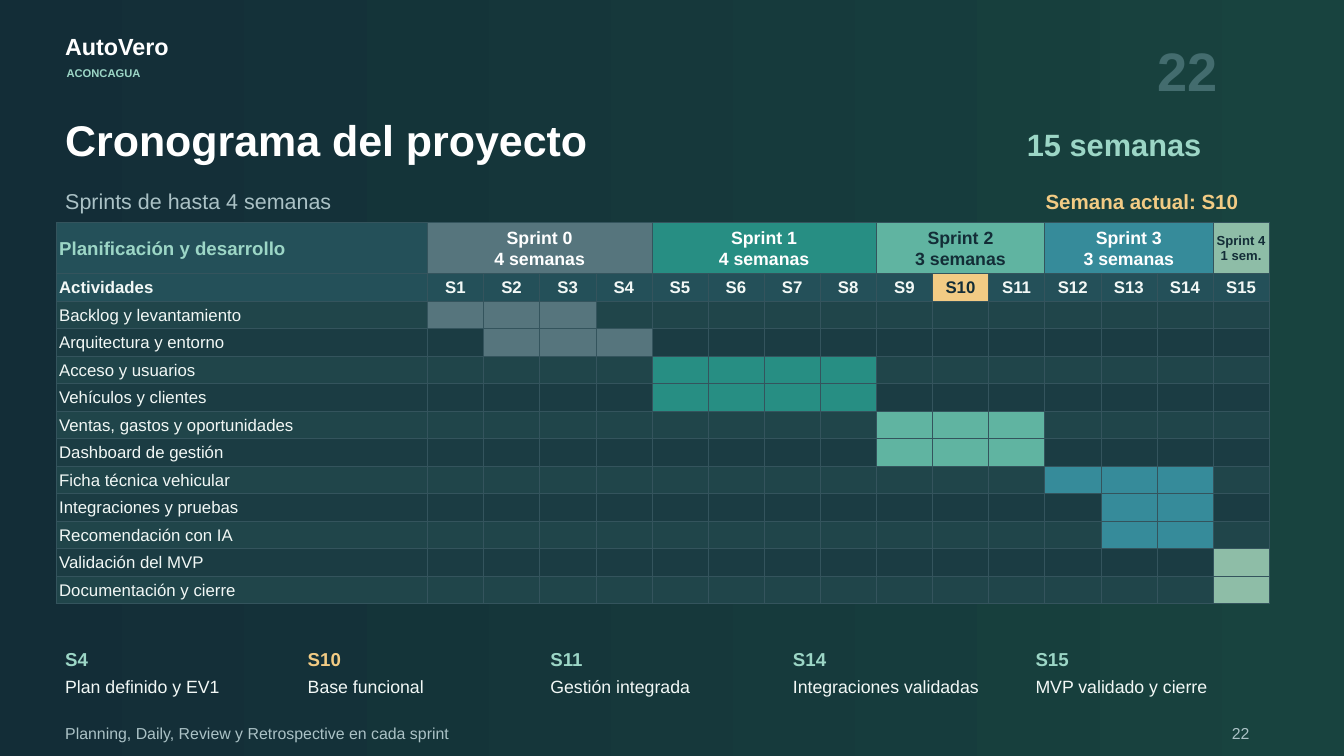
from lxml import etree
from pptx import Presentation
from pptx.dml.color import RGBColor
from pptx.enum.text import MSO_ANCHOR, MSO_AUTO_SIZE, PP_ALIGN
from pptx.oxml.ns import qn
from pptx.util import Inches, Pt

LEFT, CENTER = PP_ALIGN.LEFT, PP_ALIGN.CENTER
MIDDLE = MSO_ANCHOR.MIDDLE
FIT_SHAPE = MSO_AUTO_SIZE.SHAPE_TO_FIT_TEXT

NAVY = RGBColor(0x13, 0x2D, 0x37)
FOREST = RGBColor(0x18, 0x43, 0x3F)
WHITE = RGBColor(0xFF, 0xFF, 0xFF)
PALE = RGBColor(0xF2, 0xF8, 0xF6)
MINT = RGBColor(0x9C, 0xD6, 0xC6)
MUTED = RGBColor(0xAB, 0xC2, 0xC6)
FADED = RGBColor(0x43, 0x6C, 0x6E)
AMBER = RGBColor(0xF2, 0xCB, 0x84)
HEADER = RGBColor(0x24, 0x50, 0x59)
ROW_LIGHT = RGBColor(0x20, 0x45, 0x4A)
ROW_DARK = RGBColor(0x1B, 0x3C, 0x43)
GRID = RGBColor(0x34, 0x54, 0x5D)
SLATE = RGBColor(0x56, 0x75, 0x7D)
TEAL = RGBColor(0x27, 0x8E, 0x83)
AQUA = RGBColor(0x60, 0xB4, 0xA1)
BLUE = RGBColor(0x36, 0x8B, 0x9A)
SAGE = RGBColor(0x8E, 0xBD, 0xA7)

prs = Presentation()
prs.slide_width, prs.slide_height = Inches(20), Inches(11.25)
slide = prs.slides.add_slide(prs.slide_layouts[6])

background = slide.background.fill
background.gradient()
background.gradient_angle = 0
for stop, color in zip(background.gradient_stops, (NAVY, FOREST)):
    stop.color.rgb = color


def write(text, *, size, color, bold=False, align=LEFT, at=None, cell=None):
    """Write lines of text into a table cell, or into a new text box placed at (x, y, w, h)."""
    if cell is not None:
        frame = cell.text_frame
        cell.vertical_anchor = MIDDLE
        margin = Inches(0.05)
    else:
        frame = slide.shapes.add_textbox(*map(Inches, at)).text_frame
        frame.word_wrap = True
        frame.auto_size = FIT_SHAPE
        margin = 0
    frame.margin_left = frame.margin_right = margin
    frame.margin_top = frame.margin_bottom = margin
    if cell is not None:
        cell.margin_left = cell.margin_right = margin
        cell.margin_top = cell.margin_bottom = margin
    frame.text = text
    for paragraph in frame.paragraphs:
        paragraph.alignment = align
        paragraph.line_spacing = Pt(size * 1.2)
        font = paragraph.runs[0].font
        font.name, font.size, font.bold = "Arial", Pt(size), bold
        font.color.rgb = color


def paint(cell, color):
    """Give a cell its grid borders and its fill."""
    properties = cell._tc.get_or_add_tcPr()
    for side in ("a:lnL", "a:lnR", "a:lnT", "a:lnB"):
        line = etree.SubElement(properties, qn(side), w=str(Pt(0.41)))
        solid = etree.SubElement(line, qn("a:solidFill"))
        etree.SubElement(solid, qn("a:srgbClr"), val=str(GRID))
    cell.fill.solid()
    cell.fill.fore_color.rgb = color


# Heading
write("AutoVero", at=(0.97, 0.48, 3.33, 0.48), size=25, color=WHITE, bold=True)
write("ACONCAGUA", at=(0.99, 0.98, 3.47, 0.33), size=12, color=MINT, bold=True)
write("22", at=(17.22, 0.55, 0.9, 0.99), size=58, color=FADED, bold=True)
write("Cronograma del proyecto", at=(0.97, 1.69, 15.28, 0.93), size=46, color=WHITE, bold=True)
write("15 semanas", at=(15.28, 1.87, 3.75, 0.75), size=33, color=MINT, bold=True)
write("Sprints de hasta 4 semanas", at=(0.97, 2.8, 13.19, 0.44), size=23, color=MUTED)
write("Semana actual: S10", at=(15.56, 2.81, 3.47, 0.44), size=22, color=AMBER, bold=True)

# Schedule
WEEKS, CURRENT_WEEK = 15, 10
sprints = [  # label, first week, last week, fill, text colour, text size
    ("Sprint 0\n4 semanas", 1, 4, SLATE, WHITE, 19),
    ("Sprint 1\n4 semanas", 5, 8, TEAL, WHITE, 19),
    ("Sprint 2\n3 semanas", 9, 11, AQUA, NAVY, 19),
    ("Sprint 3\n3 semanas", 12, 14, BLUE, WHITE, 19),
    ("Sprint 4\n1 sem.", 15, 15, SAGE, NAVY, 14),
]
activities = [  # name, first week, last week, fill
    ("Backlog y levantamiento", 1, 3, SLATE),
    ("Arquitectura y entorno", 2, 4, SLATE),
    ("Acceso y usuarios", 5, 8, TEAL),
    ("Vehículos y clientes", 5, 8, TEAL),
    ("Ventas, gastos y oportunidades", 9, 11, AQUA),
    ("Dashboard de gestión", 9, 11, AQUA),
    ("Ficha técnica vehicular", 12, 14, BLUE),
    ("Integraciones y pruebas", 13, 14, BLUE),
    ("Recomendación con IA", 13, 14, BLUE),
    ("Validación del MVP", 15, 15, SAGE),
    ("Documentación y cierre", 15, 15, SAGE),
]
schedule = slide.shapes.add_table(
    len(activities) + 2, WEEKS + 1, Inches(0.83), Inches(3.31), Inches(18.06), Inches(5.67)
).table
schedule.first_row = schedule.horz_banding = False
for index, column in enumerate(schedule.columns):
    column.width = Inches(12.53 / WEEKS if index else 5.53)
for index, row in enumerate(schedule.rows):
    row.height = Inches(4.91 / 12 if index else 0.76)

title_cell = schedule.cell(0, 0)
paint(title_cell, HEADER)
write("Planificación y desarrollo", cell=title_cell, size=20, color=MINT, bold=True)
for label, first, last, fill, color, size in sprints:
    for week in range(first, last + 1):
        paint(schedule.cell(0, week), fill)
    sprint_cell = schedule.cell(0, first)
    if last > first:
        sprint_cell.merge(schedule.cell(0, last))
    write(label, cell=sprint_cell, size=size, color=color, bold=True, align=CENTER)

paint(schedule.cell(1, 0), HEADER)
write("Actividades", cell=schedule.cell(1, 0), size=18, color=PALE, bold=True)
for week in range(1, WEEKS + 1):
    current = week == CURRENT_WEEK
    week_cell = schedule.cell(1, week)
    paint(week_cell, AMBER if current else HEADER)
    write(f"S{week}", cell=week_cell, size=18, color=NAVY if current else PALE,
          bold=True, align=CENTER)

for index, (name, first, last, fill) in enumerate(activities):
    row = index + 2
    stripe = ROW_DARK if index % 2 else ROW_LIGHT
    paint(schedule.cell(row, 0), stripe)
    write(name, cell=schedule.cell(row, 0), size=18, color=PALE)
    for week in range(1, WEEKS + 1):
        paint(schedule.cell(row, week), fill if first <= week <= last else stripe)

# Milestones
milestones = [
    ("S4", "Plan definido y EV1"),
    ("S10", "Base funcional"),
    ("S11", "Gestión integrada"),
    ("S14", "Integraciones validadas"),
    ("S15", "MVP validado y cierre"),
]
for index, (week, goal) in enumerate(milestones):
    x = 0.97 + 3.61 * index
    week_color = AMBER if week == f"S{CURRENT_WEEK}" else MINT
    write(week, at=(x, 9.64, 3.33, 0.37), size=20, color=week_color, bold=True)
    write(goal, at=(x, 10.05, 3.47, 0.45), size=19, color=PALE)

# Footer
write("Planning, Daily, Review y Retrospective en cada sprint",
      at=(0.97, 10.77, 15.28, 0.35), size=17, color=MUTED)
write("22", at=(18.33, 10.77, 0.69, 0.3), size=17, color=MUTED)

prs.save("out.pptx")
